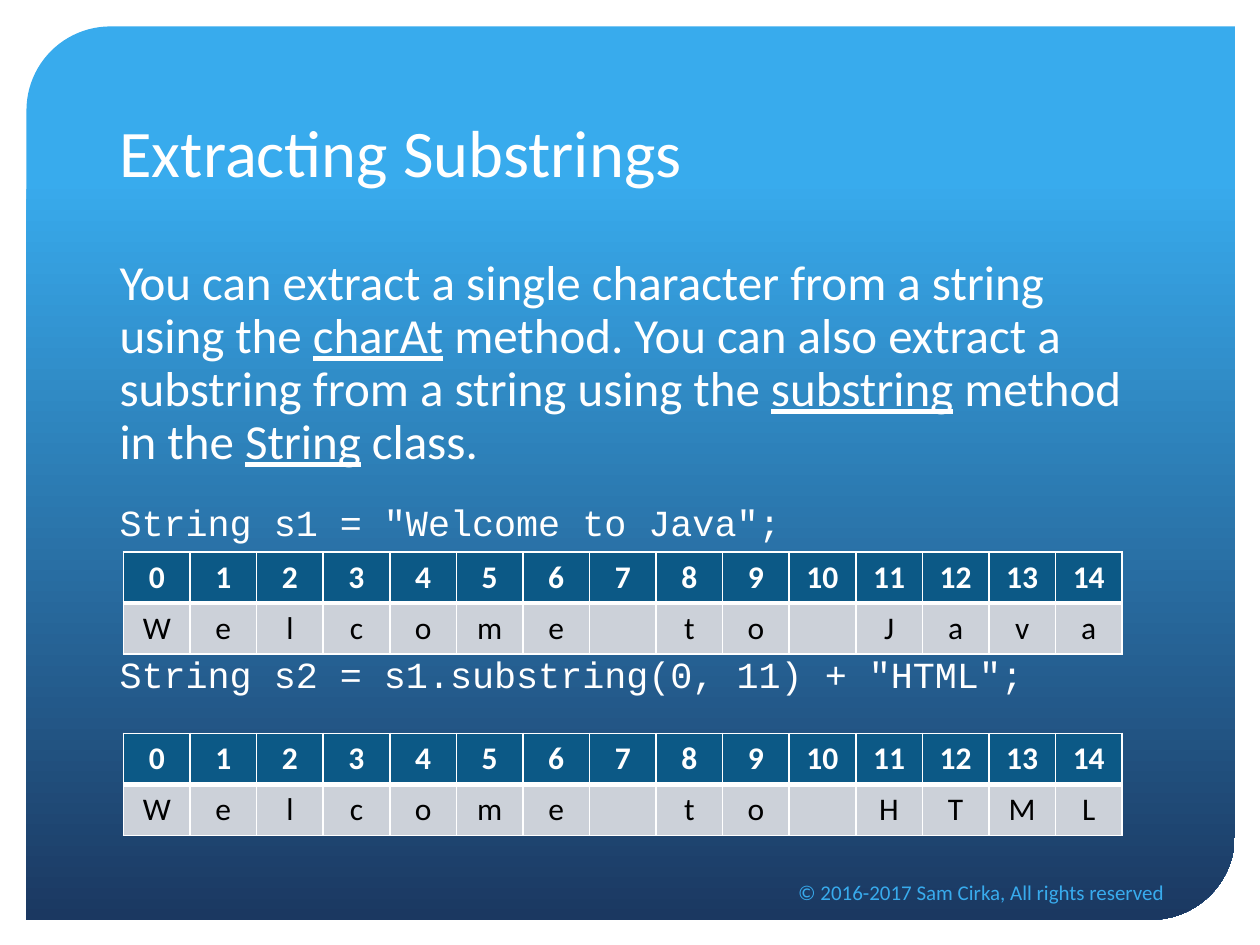
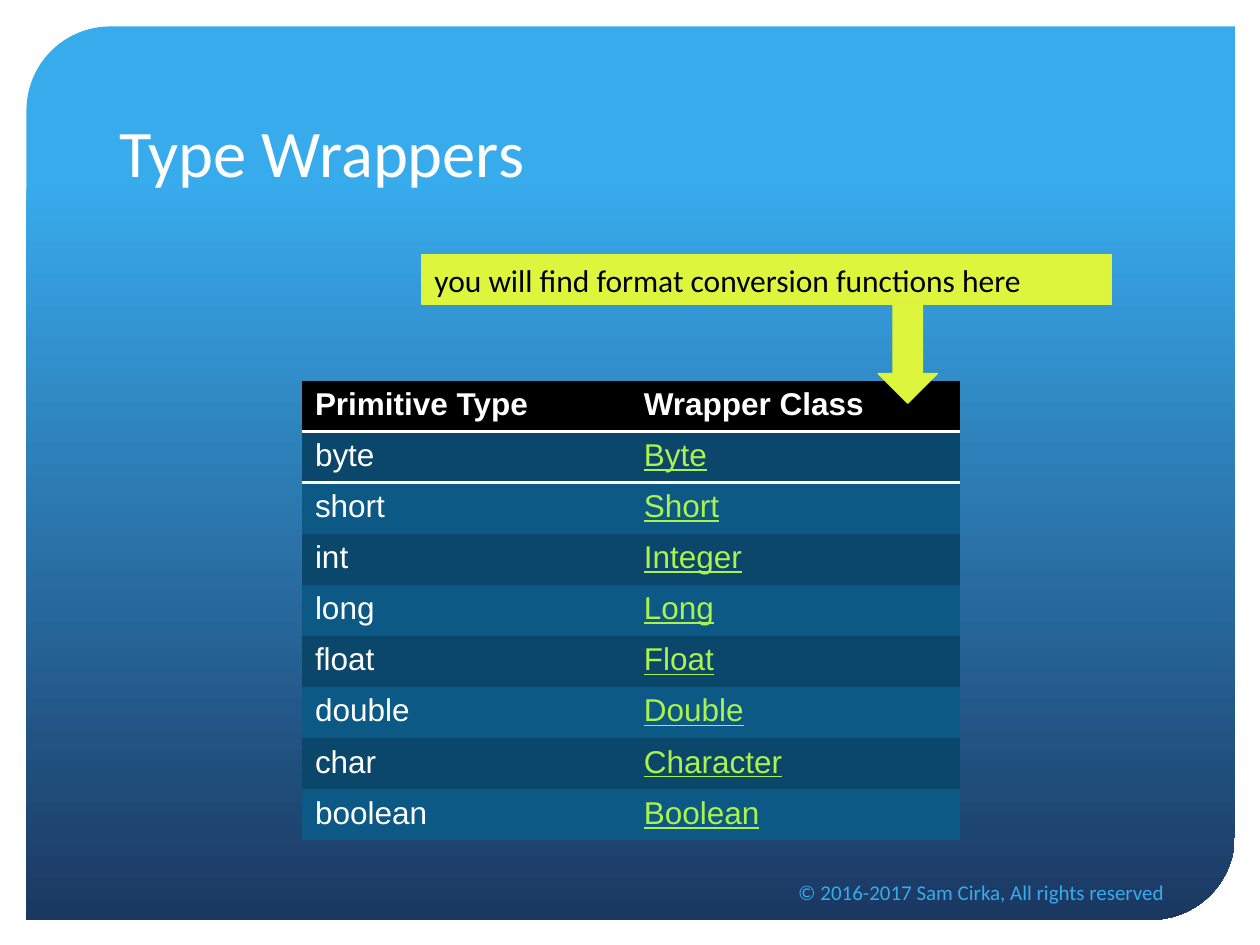
from lxml import etree
from pptx import Presentation
from pptx.dml.color import RGBColor
from pptx.enum.shapes import MSO_SHAPE
from pptx.enum.text import MSO_ANCHOR, PP_ALIGN
from pptx.oxml.ns import qn
from pptx.util import Inches, Pt

WHITE = RGBColor(0xFF, 0xFF, 0xFF)
BLACK = RGBColor(0x00, 0x00, 0x00)
SKY = RGBColor(0x38, 0xAB, 0xED)
NAVY = RGBColor(0x1B, 0x38, 0x61)
TEAL = RGBColor(0x0C, 0x59, 0x86)
DEEP_TEAL = RGBColor(0x0A, 0x47, 0x6B)
PALE_GREY = RGBColor(0xCC, 0xD1, 0xD9)
LIME = RGBColor(0xAB, 0xF2, 0x4D)
YELLOW = RGBColor(0xDD, 0xF5, 0x3D)
YELLOW_EDGE = RGBColor(0xDB, 0xF4, 0x37)

BODY_FONT, CODE_FONT, TABLE_FONT = "Calibri", "Courier New", "Arial"
LEFT, CENTER, RIGHT = PP_ALIGN.LEFT, PP_ALIGN.CENTER, PP_ALIGN.RIGHT
TOP, MIDDLE, BOTTOM = MSO_ANCHOR.TOP, MSO_ANCHOR.MIDDLE, MSO_ANCHOR.BOTTOM
PANEL, BOX, DOWN_ARROW = (MSO_SHAPE.ROUND_2_DIAG_RECTANGLE, MSO_SHAPE.RECTANGLE,
                          MSO_SHAPE.DOWN_ARROW)
PLAIN_TABLE = "{2D5ABB26-0587-4C30-8999-92F81FD0307C}"

FOOTER = "© 2016-2017 Sam Cirka, All rights reserved"

SUBSTRING_TITLE = "Extracting Substrings"
EXPLANATION = [
    ("You can extract a single character from a string using the ", False),
    ("charAt", True),
    (" method. You can also extract a substring from a string using the ", False),
    ("substring", True),
    (" method in the ", False),
    ("String", True),
    (" class.", False),
]
CODE_LINES = [
    ('String s1 = "Welcome to Java";', 20),
    ('String s2 = s1.substring(0, 11) + "HTML";', 64),
]
INDEXED_STRINGS = [("Welcome to Java", 4.38), ("Welcome to HTML", 5.82)]

WRAPPER_TITLE = "Type Wrappers"
CALLOUT = "you will find format conversion functions here"
WRAPPER_HEADER = ("Primitive Type", "Wrapper Class")
WRAPPERS = [
    ("byte", "Byte"),
    ("short", "Short"),
    ("int", "Integer"),
    ("long", "Long"),
    ("float", "Float"),
    ("double", "Double"),
    ("char", "Character"),
    ("boolean", "Boolean"),
]


def inches(*lengths):
    return [Inches(length) for length in lengths]


def add_run(paragraph, text, size, color=WHITE, font=BODY_FONT, bold=False, underline=False):
    run = paragraph.add_run()
    run.text = text
    run.font.size = Pt(size)
    run.font.name = font
    run.font.color.rgb = color
    run.font.bold = bold
    run.font.underline = underline


def add_text_frame(slide, at, anchor=TOP):
    frame = slide.shapes.add_textbox(*inches(*at)).text_frame
    frame.word_wrap = True
    frame.vertical_anchor = anchor
    return frame


def add_panel(slide):
    panel = slide.shapes.add_shape(PANEL, *inches(0.21, 0.21, 9.59, 7.09))
    panel.shadow.inherit = False
    panel.adjustments[0] = 0.094
    panel.adjustments[1] = 0
    panel.line.fill.background()
    panel.fill.gradient()
    panel.fill.gradient_angle = 270
    stops = panel.fill.gradient_stops
    for stop, position, color in zip(stops, (0.17, 1), (SKY, NAVY)):
        stop.position = position
        stop.color.rgb = color


def start_slide(deck, title):
    slide = deck.slides.add_slide(deck.slide_layouts[6])
    add_panel(slide)
    heading = add_text_frame(slide, (0.85, 0.42, 8.29, 1.14), BOTTOM)
    add_run(heading.paragraphs[0], title, 38)
    return slide


def add_footer(slide):
    paragraph = add_text_frame(slide, (3.61, 6.88, 5.73, 0.4), MIDDLE).paragraphs[0]
    paragraph.alignment = RIGHT
    add_run(paragraph, FOOTER, 12, SKY)


def add_plain_table(slide, rows, columns, at):
    table = slide.shapes.add_table(rows, columns, *inches(*at)).table
    table.first_row = table.horz_banding = False
    table._tbl.tblPr.find(qn("a:tableStyleId")).text = PLAIN_TABLE
    for column in table.columns:
        column.width = Inches(at[2] / columns)
    for row in table.rows:
        row.height = Inches(at[3] / rows)
    return table


def fill_cell(cell, text, fill, borders, align=LEFT, **style):
    properties = cell._tc.get_or_add_tcPr()
    for side in "LRTB":
        if side in borders:
            line = etree.SubElement(properties, qn(f"a:ln{side}"), w=str(Pt(borders[side])))
            solid = etree.SubElement(line, qn("a:solidFill"))
            etree.SubElement(solid, qn("a:srgbClr"), val=str(WHITE))
    cell.fill.solid()
    cell.fill.fore_color.rgb = fill
    if text.strip():
        paragraph = cell.text_frame.paragraphs[0]
        paragraph.alignment = align
        add_run(paragraph, text, 18, **style)


def add_index_table(slide, string, top):
    table = add_plain_table(slide, 2, len(string), (0.98, top, 7.93, 0.81))
    grid = dict(L=1, R=1, T=1, B=1)
    for index, letter in enumerate(string):
        fill_cell(table.cell(0, index), str(index), TEAL, {**grid, "B": 3}, CENTER, bold=True)
        fill_cell(table.cell(1, index), letter, PALE_GREY, {**grid, "T": 3}, CENTER, color=BLACK)


def add_wrapper_table(slide):
    table = add_plain_table(slide, len(WRAPPERS) + 1, 2, (2.4, 3.02, 5.22, 3.65))
    for column, heading in enumerate(WRAPPER_HEADER):
        fill_cell(table.cell(0, column), heading, BLACK, {"B": 2}, font=TABLE_FONT, bold=True)
    for row, (primitive, wrapper) in enumerate(WRAPPERS, 1):
        band = DEEP_TEAL if row % 2 else TEAL
        rule = {"T": 2} if row == 1 else {}
        fill_cell(table.cell(row, 0), primitive, band, rule, font=TABLE_FONT)
        fill_cell(table.cell(row, 1), wrapper, band, rule,
                  font=TABLE_FONT, color=LIME, underline=True)


def add_yellow_shape(slide, kind, at):
    shape = slide.shapes.add_shape(kind, *inches(*at))
    shape.shadow.inherit = False
    shape.fill.solid()
    shape.fill.fore_color.rgb = YELLOW
    shape.line.color.rgb = YELLOW_EDGE
    shape.line.width = Pt(0.75)
    return shape


def build_substring_slide(deck):
    slide = start_slide(deck, SUBSTRING_TITLE)
    body = add_text_frame(slide, (0.85, 2, 8.29, 4.6))
    explanation = body.paragraphs[0]
    explanation.line_spacing = 0.9
    for text, underline in EXPLANATION:
        add_run(explanation, text, 28, underline=underline)
    for code, space_before in CODE_LINES:
        paragraph = body.add_paragraph()
        paragraph.line_spacing = 0.9
        paragraph.space_before = Pt(space_before)
        add_run(paragraph, code, 21, font=CODE_FONT)
    for string, top in INDEXED_STRINGS:
        add_index_table(slide, string, top)
    add_footer(slide)


def build_wrapper_slide(deck):
    slide = start_slide(deck, WRAPPER_TITLE)
    add_wrapper_table(slide)
    callout = add_yellow_shape(slide, BOX, (3.35, 2.02, 5.47, 0.4)).text_frame
    callout.word_wrap = True
    callout.vertical_anchor = TOP
    callout.paragraphs[0].alignment = LEFT
    add_run(callout.paragraphs[0], CALLOUT, 18, BLACK)
    add_yellow_shape(slide, DOWN_ARROW, (6.97, 2.4, 0.47, 0.8))
    add_footer(slide)


def main():
    deck = Presentation()
    deck.slide_width, deck.slide_height = inches(10, 7.5)
    build_substring_slide(deck)
    build_wrapper_slide(deck)
    deck.save("out.pptx")


if __name__ == "__main__":
    main()
